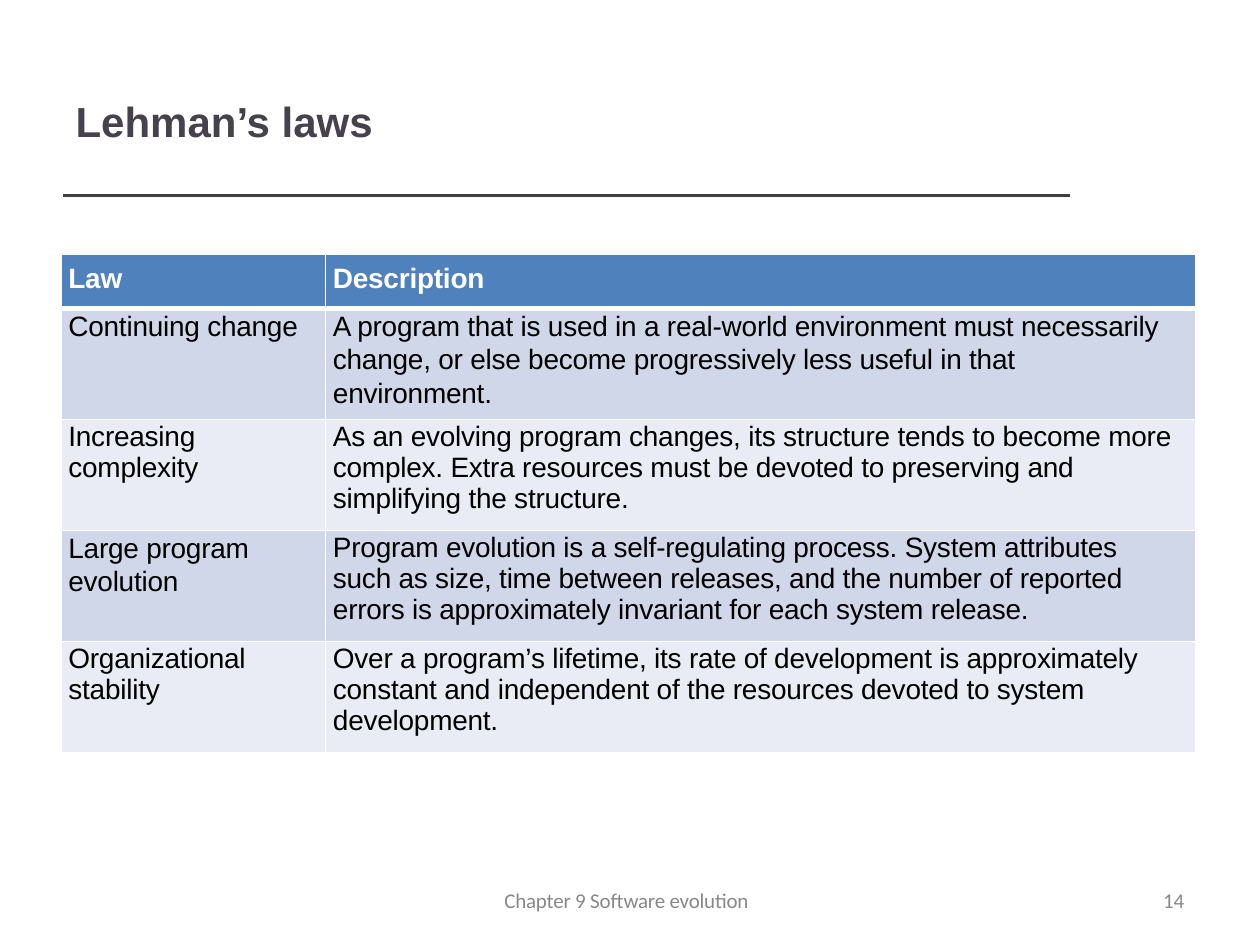
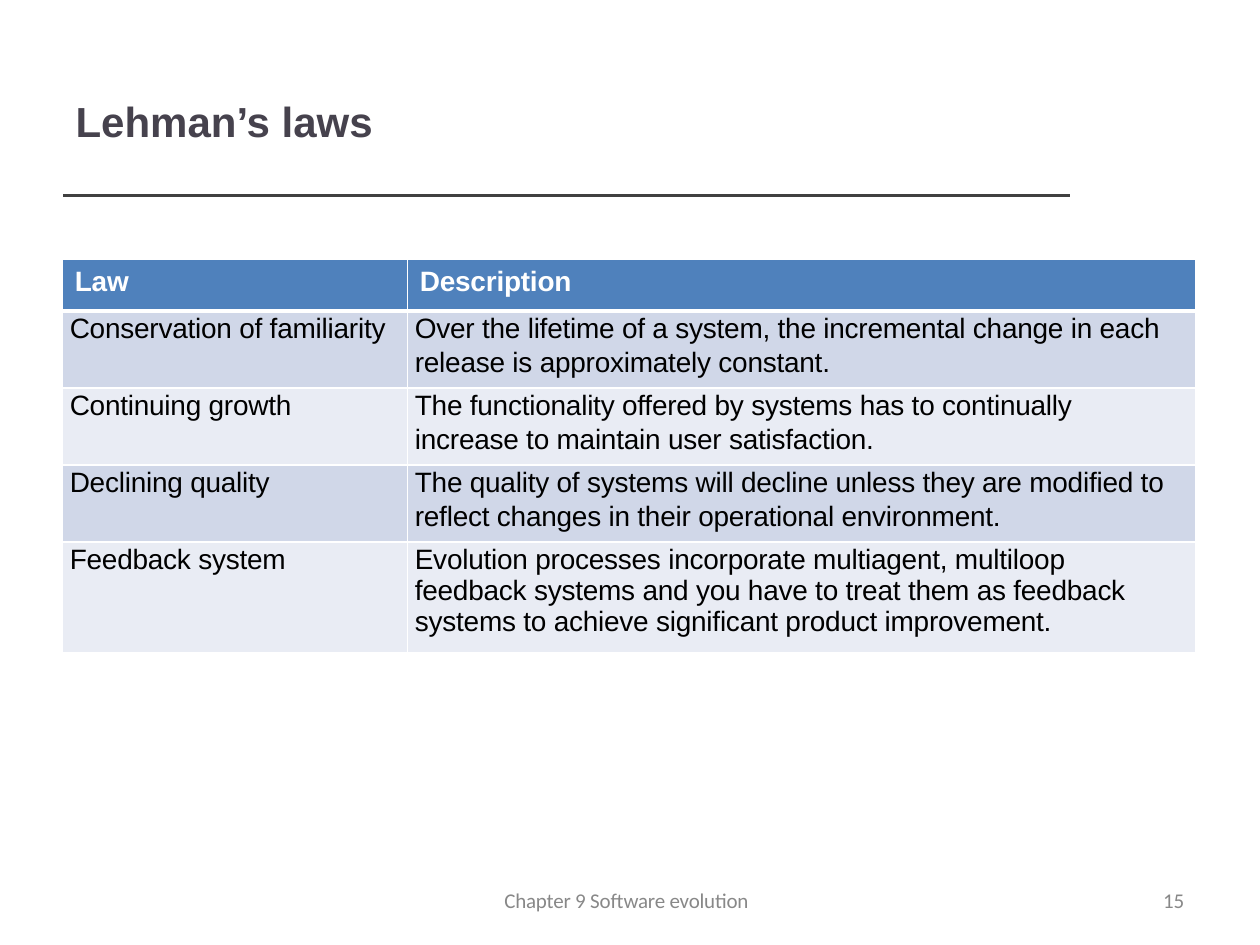
import pptx
import pptx.dml.color
import pptx.enum.shapes
import pptx.enum.text
import pptx.oxml
import pptx.oxml.ns
import pptx.util

Pt = pptx.util.Pt

COLORS = {
    "title": "46424D",
    "rule": "404040",
    "footer": "888888",
    "header": "4F81BC",
    "odd_row": "D0D7E8",
    "even_row": "E9ECF4",
    "white": "FFFFFF",
    "text": "000000",
}
TITLE_BOX = (42.5, 50.4, 172, 31)
RULE_BOX = (36, 111.6, 575.3, 0)
FOOTER_BOX = (287.3, 509, 144.7, 14.4)
NUMBER_BOX = (661.7, 509, 18, 14.4)

# Each cell is a list of paragraphs
LAWS_SLIDES = [
    {
        "number": 14,
        "corner": (34.8, 145.4),
        "column_widths": (151.2, 497.5),
        "row_heights": (31, 63.4, 63.4, 63.4, 63.4),
        "header_margins": (4.3, 5),
        "laws": [
            (["Continuing change"],
             ["A program that is used in a real-world environment must necessarily "
              "change, or else become progressively less useful in that\nenvironment."]),
            (["Increasing", "complexity"],
             ["As an evolving program changes, its structure tends to become more",
              "complex. Extra resources must be devoted to preserving and",
              "simplifying the structure."]),
            (["Large program evolution"],
             ["Program evolution is a self-regulating process. System attributes",
              "such as size, time between releases, and the number of reported "
              "errors is approximately invariant for each system release."]),
            (["Organizational", "stability"],
             ["Over a program’s lifetime, its rate of development is approximately",
              "constant and independent of the resources devoted to system development."]),
        ],
    },
    {
        "number": 15,
        "corner": (35.6, 148.4),
        "column_widths": (197.2, 450.7),
        "row_heights": (29.3, 44, 44, 44, 63.4),
        "header_margins": (7.2, 3.6),
        "laws": [
            (["Conservation of familiarity"],
             ["Over the lifetime of a system, the incremental change in each "
              "release is approximately constant."]),
            (["Continuing growth"],
             ["The functionality offered by systems has to continually\n"
              "increase to maintain user satisfaction."]),
            (["Declining quality"],
             ["The quality of systems will decline unless they are modified to "
              "reflect changes in their operational environment."]),
            (["Feedback system"],
             ["Evolution processes incorporate multiagent, multiloop",
              "feedback systems and you have to treat them as feedback "
              "systems to achieve significant product improvement."]),
        ],
    },
]


def rgb(name):
    return pptx.dml.color.RGBColor.from_string(COLORS[name])


def format_paragraph(paragraph, font_name, size, color, bold=False, spacing=0):
    paragraph.alignment = pptx.enum.text.PP_ALIGN.LEFT
    font = paragraph.font
    font.name, font.size, font.bold = font_name, Pt(size), bold
    font.color.rgb = rgb(color)
    if spacing:
        defaults = paragraph._p.get_or_add_pPr().get_or_add_defRPr()
        defaults.set("spc", str(round(spacing * 100)))


def set_frame(frame, left, top):
    frame.margin_left, frame.margin_top = Pt(left), Pt(top)
    frame.margin_right = frame.margin_bottom = 0
    frame.vertical_anchor = pptx.enum.text.MSO_ANCHOR.TOP
    frame.word_wrap = True
    frame.auto_size = pptx.enum.text.MSO_AUTO_SIZE.NONE


def add_title(slide, box, text):
    title = slide.shapes.title
    title.left, title.top, title.width, title.height = map(Pt, box)
    set_frame(title.text_frame, 0.7, 3.9)
    paragraph = title.text_frame.paragraphs[0]
    paragraph.text = text
    format_paragraph(paragraph, "Arial", 24, "title", bold=True)


def add_rule(slide, box):
    left, top, width, height = box
    rule = slide.shapes.add_connector(
        pptx.enum.shapes.MSO_CONNECTOR.STRAIGHT,
        Pt(left), Pt(top), Pt(left + width), Pt(top + height))
    rule.line.color.rgb = rgb("rule")
    rule.line.width = Pt(2)
    rule._element.spPr.append(pptx.oxml.parse_xml(
        f"<a:effectLst {pptx.oxml.ns.nsdecls('a')}/>"))


def add_footer_text(slide, box, text, indent, spacing=0):
    frame = slide.shapes.add_textbox(*map(Pt, box)).text_frame
    set_frame(frame, indent, 0)
    paragraph = frame.paragraphs[0]
    paragraph.text = text
    paragraph.line_spacing = Pt(12.4)
    format_paragraph(paragraph, "Calibri", 12, "footer", spacing=spacing)


def set_cell_borders(cell, top, bottom):
    properties = cell._tc.get_or_add_tcPr()
    for side, width in (("L", 1), ("R", 1), ("T", top), ("B", bottom)):
        properties.append(pptx.oxml.parse_xml(
            f"<a:ln{side} {pptx.oxml.ns.nsdecls('a')} w='{Pt(width)}'>"
            f"<a:solidFill><a:srgbClr val='{COLORS['white']}'/></a:solidFill>"
            f"</a:ln{side}>"))


def fill_cell(cell, paragraphs, row_index, margins):
    is_header = row_index == 0
    cell.margin_left, cell.margin_top = map(Pt, margins)
    cell.margin_right = cell.margin_bottom = 0
    cell.vertical_anchor = pptx.enum.text.MSO_ANCHOR.TOP
    set_cell_borders(cell, 3 if row_index == 1 else 1, 3 if is_header else 1)
    cell.fill.solid()
    cell.fill.fore_color.rgb = rgb(
        "header" if is_header else "odd_row" if row_index % 2 else "even_row")

    frame = cell.text_frame
    for index, text in enumerate(paragraphs):
        paragraph = frame.add_paragraph() if index else frame.paragraphs[0]
        paragraph.text = text
        if index == 0 and not is_header:
            paragraph.line_spacing = Pt(19.2 if len(paragraphs) == 1 else 18.9)
        format_paragraph(paragraph, "Arial", 16, "white" if is_header else "text",
                         bold=is_header, spacing=-0.1)


def add_laws_table(slide, content):
    widths, heights = content["column_widths"], content["row_heights"]
    left, top = content["corner"]
    table = slide.shapes.add_table(
        len(heights), len(widths), Pt(left), Pt(top),
        Pt(sum(widths)), Pt(sum(heights))).table
    table.horz_banding = False
    for column, width in zip(table.columns, widths):
        column.width = Pt(width)
    rows = [(["Law"], ["Description"])] + content["laws"]
    for row_index, (row, height) in enumerate(zip(rows, heights)):
        table.rows[row_index].height = Pt(height)
        margins = (4.3, 0) if row_index else content["header_margins"]
        for column_index, paragraphs in enumerate(row):
            fill_cell(table.cell(row_index, column_index), paragraphs,
                      row_index, margins)


def add_laws_slide(presentation, content):
    slide = presentation.slides.add_slide(presentation.slide_layouts[5])
    # Shared frame: rule, title and footer
    add_rule(slide, RULE_BOX)
    add_title(slide, TITLE_BOX, "Lehman’s laws")
    add_footer_text(slide, FOOTER_BOX, "Chapter 9 Software evolution", 0.9, -0.1)
    add_footer_text(slide, NUMBER_BOX, str(content["number"]), 2.9)
    # Table of laws
    add_laws_table(slide, content)


def main():
    presentation = pptx.Presentation()
    presentation.slide_width, presentation.slide_height = Pt(720), Pt(540)
    for content in LAWS_SLIDES:
        add_laws_slide(presentation, content)
    presentation.save("out.pptx")


if __name__ == "__main__":
    main()
